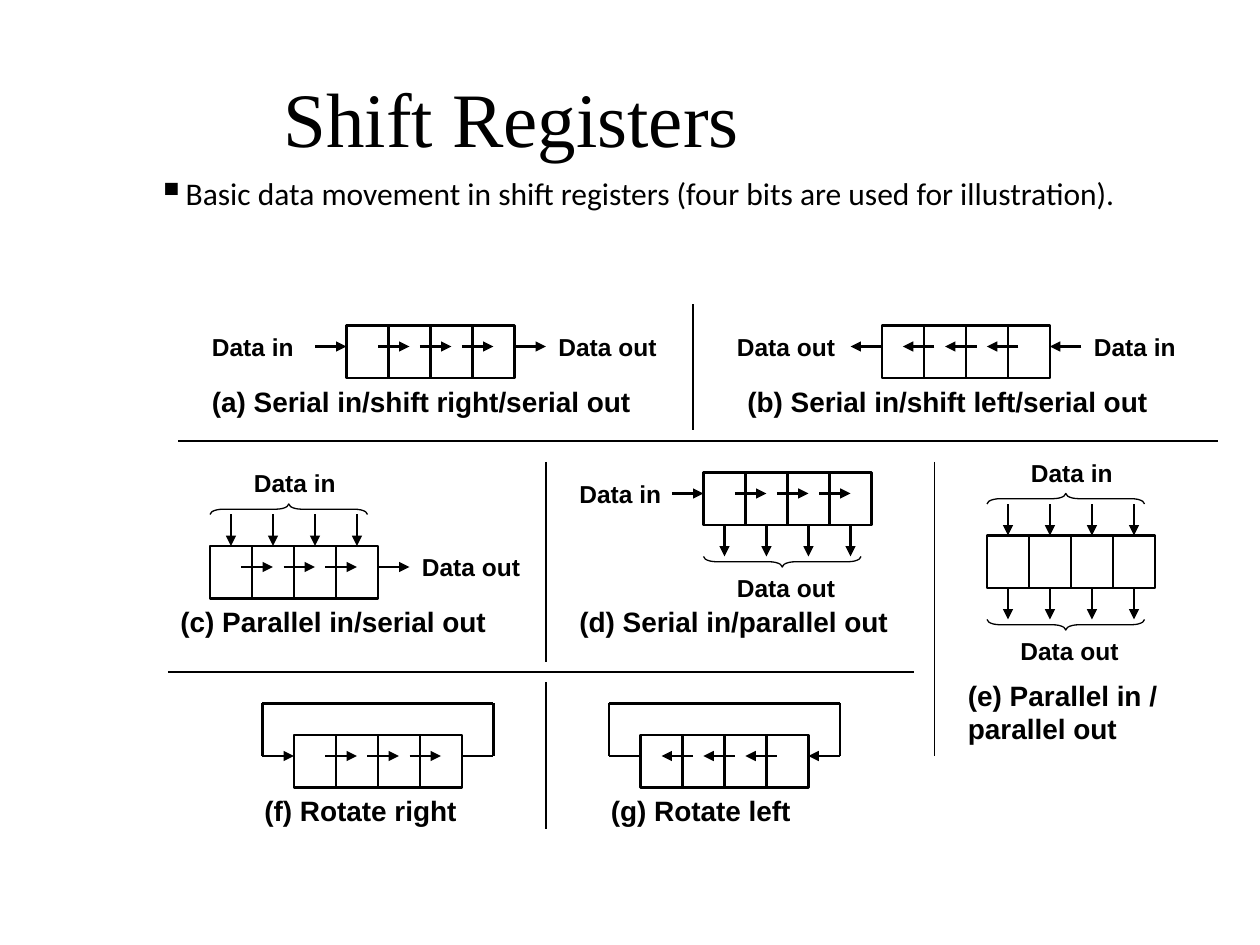
from dataclasses import dataclass

from lxml import etree
from pptx import Presentation
from pptx.dml.color import RGBColor
from pptx.enum.shapes import MSO_CONNECTOR, MSO_SHAPE
from pptx.enum.text import MSO_ANCHOR, MSO_AUTO_SIZE, PP_ALIGN
from pptx.oxml.ns import qn
from pptx.util import Emu, Pt

PX = 9525
BLACK = "000000"
STRAIGHT = MSO_CONNECTOR.STRAIGHT
RECT = MSO_SHAPE.RECTANGLE
BRACE = MSO_SHAPE.LEFT_BRACE
TOP = MSO_ANCHOR.TOP
LEFT = PP_ALIGN.LEFT
FIT_SHAPE = MSO_AUTO_SIZE.SHAPE_TO_FIT_TEXT
NO_FIT = MSO_AUTO_SIZE.NONE

BITS, CELL, BOX_H = 4, 32, 40
BOX_W = BITS * CELL
ARROW = 24
MID = 16
BOX_PT, WIRE_PT, THIN_PT = 1.5, 1.25, 0.75
LABEL_W, LABEL_H = 96, 32


@dataclass(frozen=True)
class Label:
    text: str
    x: int
    y: int


@dataclass(frozen=True)
class Panel:
    x: int
    y: int
    caption: Label
    caption_w: int
    labels: tuple[Label, ...] = ()
    shift: int = 0
    serial_in: bool = False
    serial_out: bool = False
    parallel_in: bool = False
    parallel_out: bool = False
    rotate: bool = False
    caption_h: int = 35


PANELS = [
    Panel(264, 248, Label("(a) Serial in/shift right/serial out", 152, 288), 344,
          (Label("Data in", 152, 248), Label("Data out", 416, 248)),
          shift=1, serial_in=True, serial_out=True),
    Panel(672, 248, Label("(b) Serial in/shift left/serial out", 560, 288), 344,
          (Label("Data in", 824, 248), Label("Data out", 552, 248)),
          shift=-1, serial_in=True, serial_out=True),
    Panel(160, 416, Label("(c) Parallel in/serial out", 128, 456), 264,
          (Label("Data in", 184, 352), Label("Data out", 312, 416)),
          shift=1, serial_out=True, parallel_in=True),
    Panel(536, 360, Label("(d) Serial in/parallel out", 432, 456), 264,
          (Label("Data in", 432, 360), Label("Data out", 552, 432)),
          shift=1, serial_in=True, parallel_out=True),
    Panel(752, 408, Label("(e) Parallel in / parallel out", 728, 512), 168,
          (Label("Data in", 776, 344), Label("Data out", 768, 480)),
          parallel_in=True, parallel_out=True, caption_h=61),
    Panel(224, 560, Label("(f) Rotate right", 192, 600), 184,
          shift=1, serial_in=True, rotate=True),
    Panel(488, 560, Label("(g) Rotate left", 456, 600), 184,
          shift=-1, serial_in=True, rotate=True),
]

DIVIDERS = [
    (136, 336, 928, 336),
    (128, 512, 696, 512),
    (528, 232, 528, 328),
    (416, 352, 416, 504),
    (712, 352, 712, 576),
    (416, 520, 416, 632),
]


def px(n: int) -> Emu:
    return Emu(n * PX)


def color(hex_: str) -> RGBColor:
    return RGBColor.from_string(hex_)


def apply(obj, fmt: dict) -> None:
    for name, value in fmt.items():
        setattr(obj, name, value)


def write(sp, text: str, font: str, size: int, bold: bool = False, **frame):
    tf = sp.text_frame
    apply(tf, {"word_wrap": True, "vertical_anchor": TOP, **frame})
    p = tf.paragraphs[0]
    p.alignment = LEFT
    r = p.add_run()
    r.text = text
    apply(r.font, {"name": font, "size": Pt(size), "bold": bold})
    r.font.color.rgb = color(BLACK)
    return p


def add_label(shapes, label: Label, w: int, h: int, size: int) -> None:
    sp = shapes.add_textbox(px(label.x), px(label.y), px(w), px(h))
    write(sp, label.text, "Arial", size, True, auto_size=FIT_SHAPE)


def add_line(shapes, x1: int, y1: int, x2: int, y2: int,
             width: float, arrow: bool = False) -> None:
    c = shapes.add_connector(STRAIGHT, px(x1), px(y1), px(x2), px(y2))
    c.line.width = Pt(width)
    c.line.color.rgb = color(BLACK)
    sp_pr = c._element.spPr
    if arrow:
        etree.SubElement(sp_pr.find(qn("a:ln")), qn("a:tailEnd"), type="triangle")
    etree.SubElement(sp_pr, qn("a:effectLst"))


def add_outline(shapes, kind, x: int, y: int, w: int, h: int, width: float):
    sp = shapes.add_shape(kind, px(x), px(y), px(w), px(h))
    sp.shadow.inherit = False
    sp.fill.background()
    sp.line.width = Pt(width)
    sp.line.color.rgb = color(BLACK)
    return sp


def add_parallel(shapes, x: int, arrow_y: int, brace_y: int, rotation: int) -> None:
    for i in range(BITS):
        ax = x + CELL // 2 + i * CELL
        add_line(shapes, ax, arrow_y, ax, arrow_y + ARROW, WIRE_PT, True)
    sp = add_outline(shapes, BRACE, x + 56, brace_y, 8, 120, THIN_PT)
    sp.adjustments[0] = 1.25
    sp.rotation = rotation


def add_panel(shapes, panel: Panel) -> None:
    x, y, mid = panel.x, panel.y, panel.y + MID
    left, right = x - ARROW, x + BOX_W + ARROW
    add_outline(shapes, RECT, x, y, BOX_W, BOX_H, BOX_PT)
    for i in range(1, BITS):
        add_line(shapes, x + i * CELL, y, x + i * CELL, y + BOX_H, BOX_PT)
        if panel.shift:
            center = x + i * CELL + (4 if panel.shift > 0 else -4)
            reach = panel.shift * ARROW // 2
            add_line(shapes, center - reach, mid, center + reach, mid, WIRE_PT, True)

    ends = [(left, x), (x + BOX_W, right)]
    if panel.shift < 0:
        ends = [(b, a) for a, b in reversed(ends)]
    entry, leave = ends
    if panel.serial_in:
        add_line(shapes, entry[0], mid, entry[1], mid, WIRE_PT, True)
    if panel.serial_out or panel.rotate:
        add_line(shapes, leave[0], mid, leave[1], mid, WIRE_PT, panel.serial_out)
    if panel.rotate:
        top = y - ARROW
        add_line(shapes, left, top, right, top, WIRE_PT)
        for side in (left, right):
            add_line(shapes, side, top, side, mid, WIRE_PT)
    if panel.parallel_in:
        add_parallel(shapes, x, y - ARROW, y - 88, 90)
    if panel.parallel_out:
        add_parallel(shapes, x, y + BOX_H, y + 8, 270)

    for label in panel.labels:
        add_label(shapes, label, LABEL_W, LABEL_H, 14)
    add_label(shapes, panel.caption, panel.caption_w, panel.caption_h, 16)


def main() -> None:
    prs = Presentation()
    apply(prs, {"slide_width": px(960), "slide_height": px(720)})
    s = prs.slides.add_slide(prs.slide_layouts[5])
    flush = {"margin_left": 0, "margin_right": 0, "margin_top": 0, "margin_bottom": 0}

    title = s.shapes.title
    apply(title, {"left": px(216), "top": px(48), "width": px(560), "height": px(142)})
    write(title, "Shift Registers", "Times New Roman", 44,
          **{**flush, "margin_top": px(6), "auto_size": NO_FIT})

    body = s.shapes.add_textbox(px(120), px(136), px(808), px(80))
    p = write(body, "Basic data movement in shift registers "
              "(four bits are used for illustration).", "Calibri", 18, **flush)
    p.line_spacing = 0.9
    p_pr = p._p.get_or_add_pPr()
    etree.SubElement(p_pr, qn("a:buSzPct"), val="120000")
    etree.SubElement(p_pr, qn("a:buChar"), char="▪")

    for panel in PANELS:
        add_panel(s.shapes.add_group_shape().shapes, panel)
    for divider in DIVIDERS:
        add_line(s.shapes, *divider, THIN_PT)
    prs.save("out.pptx")


if __name__ == "__main__":
    main()
